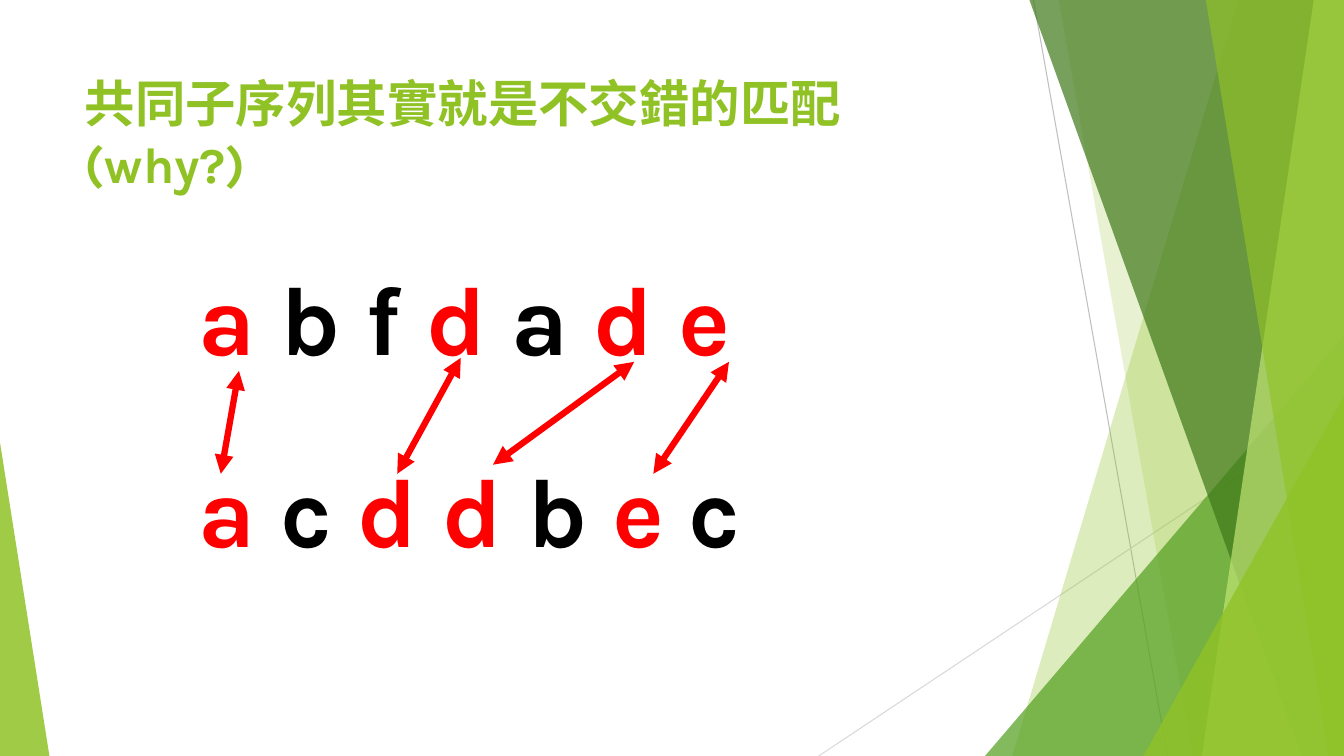
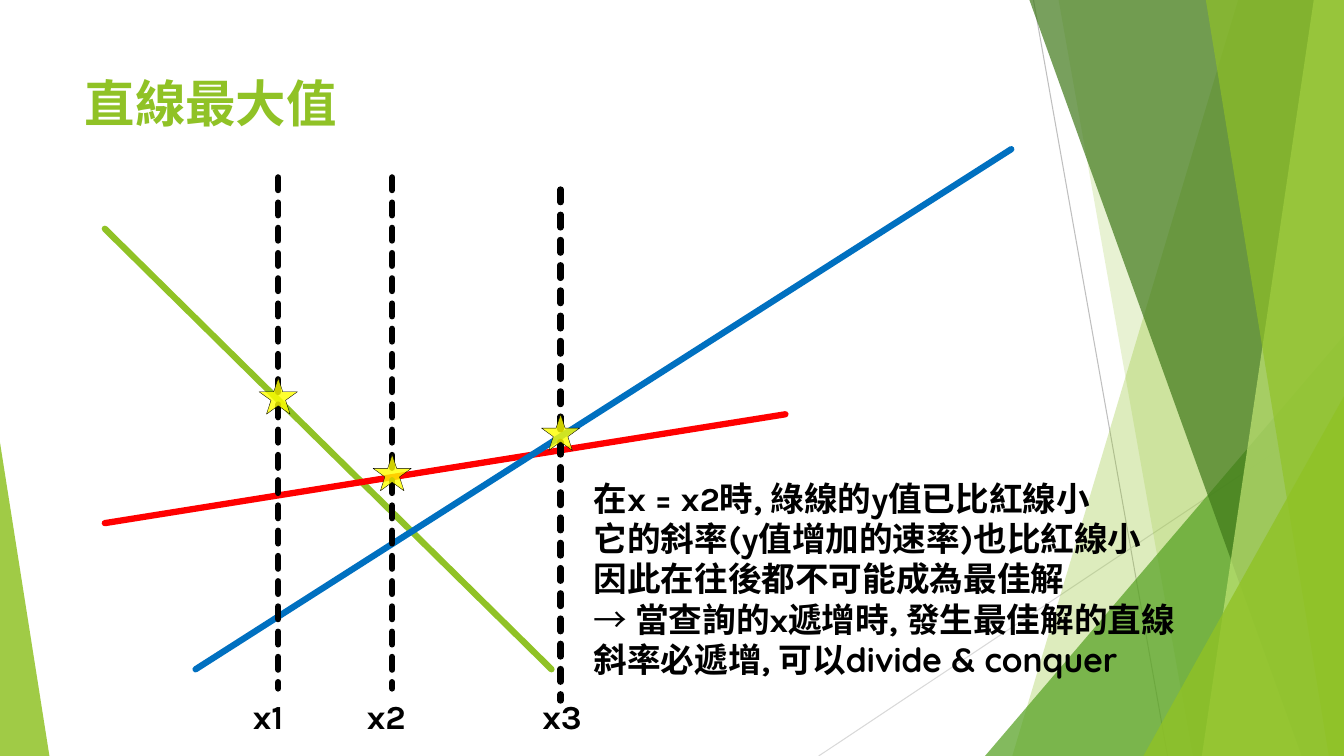
"""Build two slides on common subsequences and on the maximum of lines."""
import pptx
import pptx.dml.color
import pptx.enum.dml
import pptx.enum.shapes
import pptx.enum.text
import pptx.oxml.ns
import pptx.oxml.xmlchemy
import pptx.util
from lxml import etree

Inches = pptx.util.Inches
RGBColor = pptx.dml.color.RGBColor
Shape = pptx.enum.shapes.MSO_SHAPE
qn = pptx.oxml.ns.qn

WIDTH, HEIGHT = 13.33, 7.5
GREEN = RGBColor(0x90, 0xC2, 0x26)
MIDDLE_GREEN = RGBColor(0x54, 0xA0, 0x21)
DARK_GREEN = RGBColor(0x3F, 0x78, 0x19)
PALE_GREEN = RGBColor(0xC0, 0xE4, 0x74)
GRAY = RGBColor(0xBF, 0xBF, 0xBF)
LIGHT_GRAY = RGBColor(0xD9, 0xD9, 0xD9)
BLACK = RGBColor(0, 0, 0)
RED = RGBColor(0xFF, 0, 0)
BLUE = RGBColor(0, 0x70, 0xC0)
YELLOW = RGBColor(0xFF, 0xFF, 0)
FONT = "Karla"

HAIRLINES = [
    ((10.25, 0), (11.58, HEIGHT), GRAY),
    ((WIDTH, 4.03), (8.12, HEIGHT), LIGHT_GRAY),
]
DECORATIONS = [
    ("band", (12.28, 10.04), GREEN, 30),
    ("band", (10.5, 11.83), GREEN, 20),
    ("triangle", (9.77, 3.33, 3.56, 1), MIDDLE_GREEN, 72),
    ("band", (10.21, 12.91), DARK_GREEN, 70),
    ("band", (13.03, 11.92), PALE_GREEN, 70),
    ("band", (11.96, 13.18), GREEN, 65),
    ("triangle", (11.34, 3.93, 1.99, 1), GREEN, 80),
    ("triangle", (0, 4.39, 0.49, 0), GREEN, 85),
]

MATCHING_TITLE = "共同子序列其實就是不交錯的匹配 (why?)"
SEQUENCES = [
    (2.51, [("a", RED), (" b f ", BLACK), ("d", RED), (" a ", BLACK), ("d e", RED)]),
    (4.41, [("a", RED), (" c", BLACK), (" d d", RED), (" b ", BLACK), ("e", RED), (" c", BLACK)]),
]
MATCHES = [
    ((2.37, 3.68), (2.19, 4.7)),
    ((4.57, 3.55), (3.94, 4.7)),
    ((6.29, 3.59), (4.89, 4.61)),
    ((7.23, 3.59), (6.48, 4.7)),
]

MAXIMUM_TITLE = "直線最大值"
GRAPH_LINES = [
    ((1.04, 2.27), (5.47, 6.64), GREEN),
    ((1.04, 5.19), (7.79, 4.11), RED),
    ((10.03, 1.48), (1.94, 6.64), BLUE),
]
QUERIES = [
    ("x1", 2.76, 1.76, 3.93, 2.41),
    ("x2", 3.89, 1.76, 4.69, 3.54),
    ("x3", 5.56, 1.88, 4.29, 5.28),
]
QUERY_LENGTH = 5.07
STAR_WIDTH, STAR_HEIGHT = 0.38, 0.36
EXPLANATION = [
    [("在x = x2時, 綠線的y值已比紅線小", {})],
    [("它的斜率(y值增加的速率)也比紅線小", {})],
    [("因此在往後都不可能成為最佳解", {})],
    [("→ ", {"bold": False}), ("當查詢的x遞增時, 發生最佳解的直線", {})],
    [("斜率必遞增, 可以", {}), ("divide & conquer", {"font": "Quicksand"})],
]


def write_text(paragraph, text, *, size=24, color=BLACK, bold=True, font=FONT):
    """Append a formatted run to a paragraph."""
    run = paragraph.add_run()
    run.text = text
    run.font.size = pptx.util.Pt(size)
    run.font.bold = bold
    run.font.color.rgb = color
    run.font.name = font
    east_asian = etree.SubElement(run._r.get_or_add_rPr(), qn("a:ea"))
    east_asian.set("typeface", FONT)


def add_text_box(slide, left, top, width, height, paragraphs):
    """Add a text box from paragraphs, each a list of (text, format) pairs."""
    box = slide.shapes.add_textbox(Inches(left), Inches(top), Inches(width), Inches(height))
    frame = box.text_frame
    frame.word_wrap = True
    for index, runs in enumerate(paragraphs):
        paragraph = frame.add_paragraph() if index else frame.paragraphs[0]
        for text, text_format in runs:
            write_text(paragraph, text, **text_format)


def add_line(shapes, start, end, color, *, width=4.5, dashed=False, rounded=False, arrows=False):
    """Add a straight line with optional dashes, round caps and arrowheads."""
    connector = shapes.add_connector(
        pptx.enum.shapes.MSO_CONNECTOR.STRAIGHT, *map(Inches, (*start, *end)))
    connector.line.color.rgb = color
    connector.line.width = pptx.util.Pt(width)
    if dashed:
        connector.line.dash_style = pptx.enum.dml.MSO_LINE.SQUARE_DOT
    properties = connector.element.spPr
    outline = properties.find(qn("a:ln"))
    if rounded:
        outline.set("cap", "rnd")
        etree.SubElement(outline, qn("a:round"))
    if arrows:
        for end_name in ("a:headEnd", "a:tailEnd"):
            etree.SubElement(outline, qn(end_name)).set("type", "triangle")
    etree.SubElement(properties, qn("a:effectLst"))


def fill_shape(shape, color, opacity):
    """Give a shape a translucent fill, no line and no shadow."""
    shape.shadow.inherit = False
    shape.fill.solid()
    shape.fill.fore_color.rgb = color
    shape.line.fill.background()
    color_element = next(shape.element.spPr.iter(qn("a:srgbClr")))
    etree.SubElement(color_element, qn("a:alpha")).set("val", str(opacity * 1000))


def add_band(shapes, top_x, bottom_x):
    """Add a band with a slanted left edge that reaches the right slide edge."""
    builder = shapes.build_freeform(Inches(top_x), 0)
    corners = [(WIDTH, 0), (WIDTH, HEIGHT), (bottom_x, HEIGHT)]
    builder.add_line_segments([(Inches(x), Inches(y)) for x, y in corners])
    return builder.convert_to_shape()


def add_triangle(shapes, left, top, width, apex):
    """Add a triangle that stands on the bottom slide edge."""
    triangle = shapes.add_shape(
        Shape.ISOSCELES_TRIANGLE, *map(Inches, (left, top, width, HEIGHT - top)))
    triangle.adjustments[0] = apex
    return triangle


def decorate_layout(slide):
    """Draw the shared decoration as a group and move it to the layout."""
    group = slide.shapes.add_group_shape()
    for start, end, color in HAIRLINES:
        add_line(group.shapes, start, end, color, width=0.75)
    makers = {"band": add_band, "triangle": add_triangle}
    for kind, geometry, color, opacity in DECORATIONS:
        fill_shape(makers[kind](group.shapes, *geometry), color, opacity)
    tree = slide.slide_layout.shapes.element
    tree.append(group.element)
    for number, properties in enumerate(tree.iter(qn("p:cNvPr")), 1):
        properties.set("id", str(number))


def add_titled_slide(presentation, text):
    """Add a title-only slide and format its title."""
    slide = presentation.slides.add_slide(presentation.slide_layouts[5])
    title = slide.shapes.title
    title.left, title.top, title.width, title.height = map(Inches, (0.74, 0.67, 9.4, 1.44))
    frame = title.text_frame
    frame.word_wrap = True
    frame.auto_size = pptx.enum.text.MSO_AUTO_SIZE.NONE
    frame.vertical_anchor = pptx.enum.text.MSO_ANCHOR.TOP
    paragraph = frame.paragraphs[0]
    paragraph.alignment = pptx.enum.text.PP_ALIGN.LEFT
    write_text(paragraph, text, size=36, color=GREEN)
    return slide


def add_matching(slide):
    """Draw two sequences and the arrows between matched letters."""
    for top, parts in SEQUENCES:
        runs = [(text, {"size": 70, "color": color}) for text, color in parts]
        add_text_box(slide, 1.87, top, 5.8, 1.28, [runs])
    for start, end in MATCHES:
        add_line(slide.shapes, start, end, RED, arrows=True)


def add_maximum(slide):
    """Draw the lines, the queries with their best points, and the explanation."""
    for start, end, color in GRAPH_LINES:
        add_line(slide.shapes, start, end, color, rounded=True)
    add_text_box(slide, 5.79, 4.69, 6.1, 2.12, EXPLANATION)
    for label, x, top, best_y, label_left in QUERIES:
        add_line(slide.shapes, (x, top), (x, top + QUERY_LENGTH), BLACK, dashed=True, rounded=True)
        add_text_box(slide, label_left, 6.85, 0.71, 0.5, [[(label, {})]])
        star = slide.shapes.add_shape(
            Shape.STAR_5_POINT, Inches(x - STAR_WIDTH / 2), Inches(best_y - STAR_HEIGHT / 2),
            Inches(STAR_WIDTH), Inches(STAR_HEIGHT))
        fill_shape(star, YELLOW, 81)
        star.line.color.rgb = BLACK
        star.line.width = pptx.util.Pt(0.25)


def main():
    """Build and save the presentation."""
    presentation = pptx.Presentation()
    presentation.slide_width = Inches(WIDTH)
    presentation.slide_height = Inches(HEIGHT)
    matching_slide = add_titled_slide(presentation, MATCHING_TITLE)
    decorate_layout(matching_slide)
    add_matching(matching_slide)
    add_maximum(add_titled_slide(presentation, MAXIMUM_TITLE))
    presentation.save("out.pptx")


if __name__ == "__main__":
    main()
